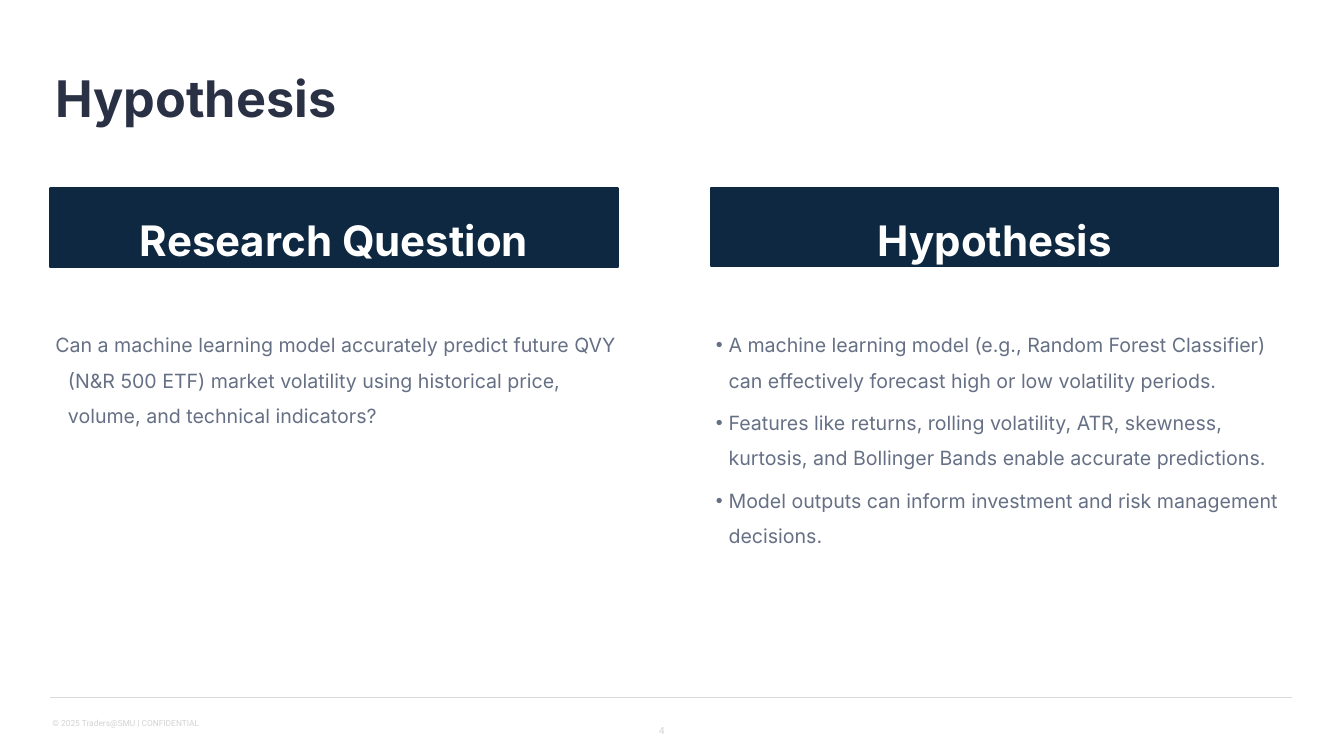
from lxml.etree import SubElement
from pptx import Presentation
from pptx.dml.color import RGBColor
from pptx.enum.shapes import MSO_CONNECTOR, MSO_SHAPE
from pptx.enum.text import MSO_ANCHOR, PP_ALIGN
from pptx.oxml.ns import qn
from pptx.util import Emu, Pt

PX = 9144  # EMU per px, 100 px to the inch
LEFT, RIGHT = 100, 1411  # column starts
NAVY = "0E2841"

TITLE = {"size": Pt(72), "name": "Inter", "bold": True, "color": "2B3145"}
HEADING = {"size": Pt(60), "name": "Inter", "bold": True, "color": "FFFFFF"}
BODY = {"size": Pt(28), "name": "Inter", "color": "667085"}
FOOTER = {"size": Pt(12), "name": "Roboto", "color": "D3D3D3"}
NUMBER = FOOTER | {"size": Pt(14)}

QUESTION = [
    "Can a machine learning model accurately predict future QVY (N&R 500 ETF) "
    "market volatility using historical price, volume, and technical indicators?",
]
CLAIMS = [
    "A machine learning model (e.g., Random Forest Classifier) can effectively "
    "forecast high or low volatility periods.",
    "Features like returns, rolling volatility, ATR, skewness, kurtosis, and "
    "Bollinger Bands enable accurate predictions.",
    "Model outputs can inform investment and risk management decisions.",
]


def px(*values):
    return [Emu(v * PX) for v in values]


def rgb(value):
    return RGBColor.from_string(value)


def set_indent(p, bullet):
    pPr = p._p.get_or_add_pPr()
    pPr.set("marL", str(25 * PX))
    pPr.set("indent", str(-25 * PX))
    if bullet:
        SubElement(pPr, qn("a:buFont"), typeface="Arial")
        SubElement(pPr, qn("a:buChar"), char="•")
    else:
        SubElement(pPr, qn("a:buNone"))


def write(p, text, style):
    r = p.add_run()
    r.text = text
    for key, value in style.items():
        if key == "color":
            r.font.color.rgb = rgb(value)
        else:
            setattr(r.font, key, value)


def add_text(s, box, text, style, anchor=MSO_ANCHOR.TOP, spacing=1.0, inset=10):
    tf = s.shapes.add_textbox(*px(*box)).text_frame
    tf.word_wrap = True
    tf.vertical_anchor = anchor
    tf.margin_left = px(inset)[0]
    p = tf.paragraphs[0]
    p.line_spacing = spacing
    write(p, text, style)


def add_body(s, box, items, bullet):
    tf = s.shapes.add_textbox(*px(*box)).text_frame
    tf.word_wrap = True
    for i, text in enumerate(items):
        p = tf.add_paragraph() if i else tf.paragraphs[0]
        p.line_spacing = 1.5
        p.space_before = Pt(10 if i else 0)
        set_indent(p, bullet)
        write(p, text, BODY)


def add_heading(s, left, top, text):
    sp = s.shapes.add_shape(MSO_SHAPE.RECTANGLE, *px(left, top, 1126, 155))
    sp.shadow.inherit = False
    sp.fill.solid()
    sp.fill.fore_color.rgb = rgb(NAVY)
    sp.line.color.rgb = rgb(NAVY)
    sp.line.width = Pt(3)
    tf = sp.text_frame
    tf.word_wrap = True
    tf.vertical_anchor = MSO_ANCHOR.MIDDLE
    p = tf.paragraphs[0]
    p.alignment = PP_ALIGN.CENTER
    p.line_spacing = 1.5
    write(p, text, HEADING)


def add_rule(s, x1, x2, y):
    line = s.shapes.add_connector(MSO_CONNECTOR.STRAIGHT, *px(x1, y, x2, y))
    line.line.color.rgb = rgb("D9D9D9")
    line.line.width = Pt(1)
    SubElement(line._element.spPr, qn("a:effectLst"))


def main():
    prs = Presentation()
    prs.slide_width, prs.slide_height = px(2667, 1500)
    s = prs.slides.add_slide(prs.slide_layouts[6])

    # Footer
    add_text(s, (LEFT, 1419, 808, 30), "© 2025 Traders@SMU | CONFIDENTIAL",
             FOOTER, inset=4)
    add_rule(s, LEFT, 2564, 1384)
    add_text(s, (1298, 1428, 69, 45), "4", NUMBER, MSO_ANCHOR.MIDDLE)

    # Title
    add_text(s, (LEFT, 125, 2300, 150), "Hypothesis", TITLE,
             MSO_ANCHOR.MIDDLE, spacing=0.9)

    # Columns
    add_body(s, (LEFT, 633, 1134, 326), QUESTION, bullet=False)
    add_body(s, (RIGHT, 633, 1153, 622), CLAIMS, bullet=True)
    add_heading(s, LEFT, 374, "Research Question")
    add_heading(s, RIGHT, 373, "Hypothesis")

    prs.save("out.pptx")


if __name__ == "__main__":
    main()
